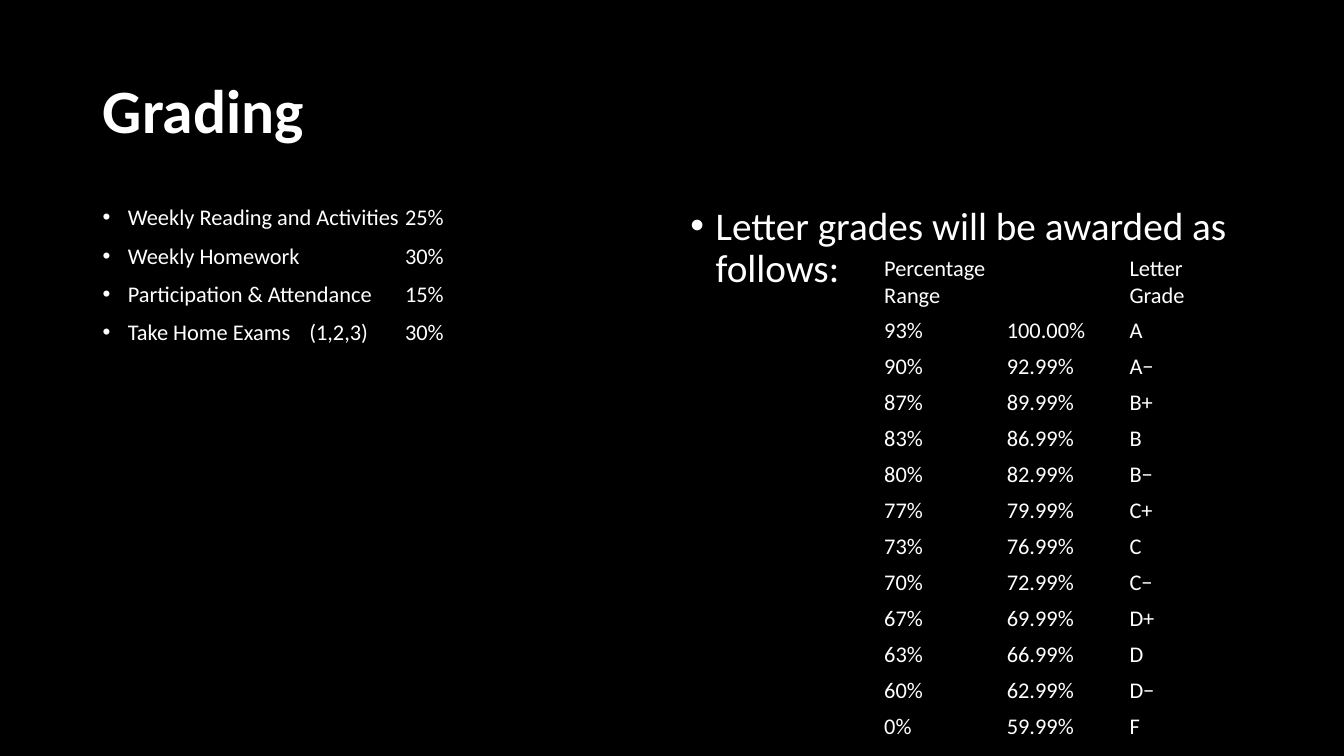
from collections import namedtuple

from lxml.etree import SubElement
from pptx import Presentation
from pptx.dml.color import RGBColor
from pptx.enum.text import MSO_ANCHOR, MSO_AUTO_SIZE, PP_ALIGN
from pptx.oxml.ns import qn
from pptx.util import Inches, Pt

BLACK = RGBColor(0, 0, 0)
WHITE = RGBColor(255, 255, 255)
FONT = "Calibri"
PLAIN_TABLE_STYLE = "{2D5ABB26-0587-4C30-8999-92F81FD0307C}"

Box = namedtuple("Box", "left top width height")

WEIGHTS = [
    "Weekly Reading and Activities\t25%",
    "Weekly Homework\t\t30%",
    "Participation & Attendance\t15%",
    "Take Home Exams\t (1,2,3)\t30%",
]
GRADES = [
    ("93%", "100.00%", "A"),
    ("90%", "92.99%", "A−"),
    ("87%", "89.99%", "B+"),
    ("83%", "86.99%", "B"),
    ("80%", "82.99%", "B−"),
    ("77%", "79.99%", "C+"),
    ("73%", "76.99%", "C"),
    ("70%", "72.99%", "C−"),
    ("67%", "69.99%", "D+"),
    ("63%", "66.99%", "D"),
    ("60%", "62.99%", "D−"),
    ("0%", "59.99%", "F"),
]


def add_span(para, text, size, bold=False):
    span = para.add_run()
    span.text = text
    span.font.name = FONT
    span.font.size = Pt(size)
    span.font.bold = bold
    span.font.color.rgb = WHITE


def place(shape, box):
    shape.left, shape.top, shape.width, shape.height = (Inches(length) for length in box)


def add_title(page, box, text):
    title = page.shapes.title
    place(title, box)
    frame = title.text_frame
    frame.vertical_anchor = MSO_ANCHOR.MIDDLE
    frame.auto_size = MSO_AUTO_SIZE.NONE
    para = frame.paragraphs[0]
    para.alignment = PP_ALIGN.LEFT
    para.line_spacing = 0.9
    add_span(para, text, 44, bold=True)


def format_bullet(para):
    properties = para._p.get_or_add_pPr()
    properties.set("marL", str(Inches(0.25)))
    properties.set("indent", str(-Inches(0.25)))
    properties.set("defTabSz", str(Inches(1)))
    SubElement(properties, qn("a:buFont")).set("typeface", "Arial")
    SubElement(properties, qn("a:buChar")).set("char", "•")


def add_bullets(page, box, lines, size):
    frame = page.shapes.add_textbox(*(Inches(length) for length in box)).text_frame
    frame.word_wrap = True
    for index, line in enumerate(lines):
        para = frame.add_paragraph() if index else frame.paragraphs[0]
        format_bullet(para)
        para.line_spacing = 0.9
        para.space_before = Pt(10 if index else 0)
        add_span(para, line, size)


def fill_cell(cell, text):
    cell.fill.background()
    cell.vertical_anchor = MSO_ANCHOR.MIDDLE
    cell.margin_left = cell.margin_right = Inches(0.09)
    cell.margin_top = cell.margin_bottom = Inches(0.04)
    para = cell.text_frame.paragraphs[0]
    for index, line in enumerate(text.split("\n")):
        if index:
            para.add_line_break()
        add_span(para, line, 16)


def add_grade_table(page, box, header_height):
    rows = [("Percentage\nRange", "", "Letter\nGrade")] + GRADES
    frame = page.shapes.add_table(len(rows), 3, *(Inches(length) for length in box))
    table = frame.table
    table.first_row = table.horz_banding = False
    table._tbl.tblPr.find(qn("a:tableStyleId")).text = PLAIN_TABLE_STYLE
    for column in table.columns:
        column.width = Inches(box.width / 3)
    row_height = (box.height - header_height) / len(GRADES)
    for index, row in enumerate(table.rows):
        row.height = Inches(row_height if index else header_height)
    table.cell(0, 0).merge(table.cell(0, 1))
    for row, texts in zip(table.rows, rows):
        for cell, text in zip(row.cells, texts):
            if not cell.is_spanned:
                fill_cell(cell, text)


def add_grading_page(deck, box):
    page = deck.slides.add_slide(deck.slide_layouts[5])
    page.background.fill.solid()
    page.background.fill.fore_color.rgb = BLACK
    margin = 0.92
    middle = 6.75
    body_top = box.top + 2
    body_height = 4.76
    right = box.width - margin
    add_title(page, Box(margin, 0.4, box.width - 2 * margin, 1.45), "Grading")
    add_bullets(page, Box(margin, body_top, middle - margin, body_height), WEIGHTS, 16)
    add_bullets(
        page,
        Box(middle, body_top, right - middle, body_height),
        ["Letter grades will be awarded as follows:"],
        28,
    )
    add_grade_table(page, Box(8.68, body_top + 0.49, 3.65, 4.86), 0.57)


def main():
    deck = Presentation()
    slide_box = Box(0, 0, 13.33, 7.5)
    deck.slide_width = Inches(slide_box.width)
    deck.slide_height = Inches(slide_box.height)
    add_grading_page(deck, slide_box)
    deck.save("out.pptx")


if __name__ == "__main__":
    main()
